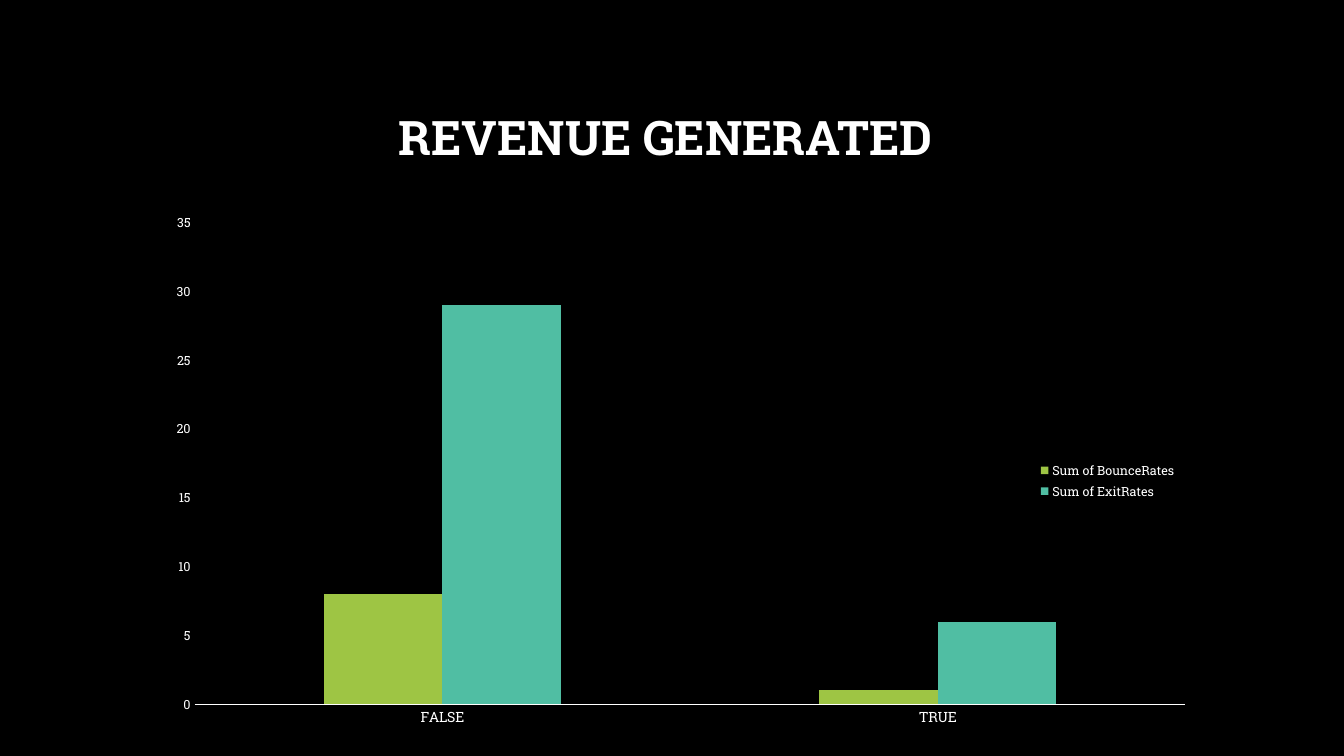
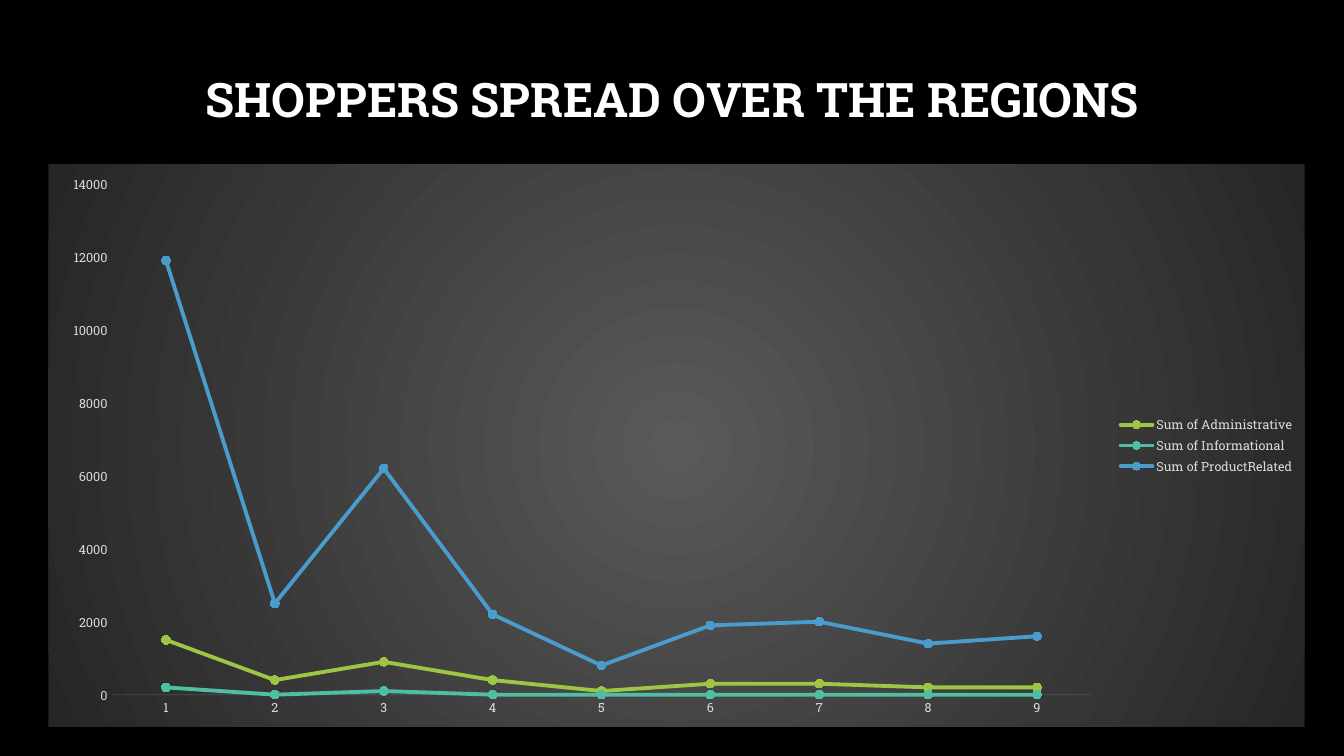
from lxml.etree import SubElement
from pptx import Presentation
from pptx.chart.data import CategoryChartData
from pptx.dml.color import RGBColor
from pptx.enum.chart import XL_CHART_TYPE, XL_LEGEND_POSITION, XL_MARKER_STYLE, XL_TICK_MARK
from pptx.enum.text import MSO_ANCHOR, PP_ALIGN
from pptx.oxml import parse_xml
from pptx.oxml.ns import nsdecls, qn
from pptx.util import Inches, Pt

FONT = "Roboto Slab"
BLACK, WHITE, PALE, MIST = "000000", "FFFFFF", "D9D9D9", "F2F2F2"
GREEN, TEAL, BLUE = "9EC544", "50BEA3", "4A9CCC"
TITLE_SIZE = (11.32, 1.45)

# Content: series are (name, values, colour, marker colour)
REVENUE = {
    "title": "REVENUE GENERATED ",
    "title_at": (1, 0.66),
    "kind": XL_CHART_TYPE.COLUMN_CLUSTERED,
    "chart_at": (0, 2.12, 11.77, 5.29),
    "categories": ["FALSE", "TRUE"],
    "series": [
        ("Sum of BounceRates", [8, 1], GREEN, None),
        ("Sum of ExitRates", [29, 6], TEAL, None),
    ],
    "top_value": 35, "step": 5,
    "text_color": WHITE, "category_size": 10.1, "axis_color": WHITE,
}
REGIONS = {
    "title": "SHOPPERS SPREAD OVER THE REGIONS",
    "title_at": (1.01, 0.29),
    "kind": XL_CHART_TYPE.LINE_MARKERS,
    "chart_at": (0.48, 1.63, 12.46, 5.58),
    "categories": [str(region) for region in range(1, 10)],
    "series": [
        ("Sum of Administrative", [1500, 400, 900, 400, 100, 300, 300, 200, 200], GREEN, "9ECF2E"),
        ("Sum of Informational", [200, 0, 100, 0, 0, 0, 0, 0, 0], TEAL, "3EC4A3"),
        ("Sum of ProductRelated", [11900, 2500, 6200, 2200, 800, 1900, 2000, 1400, 1600], BLUE, "3799D2"),
    ],
    "top_value": 14000, "step": 2000,
    "text_color": PALE, "category_size": 9, "axis_color": MIST,
}


def rgb(color):
    return RGBColor.from_string(color)


def paint(fill, color):
    fill.solid()
    fill.fore_color.rgb = rgb(color)


def style_font(font, size, color, bold=False):
    font.name, font.size, font.bold = FONT, Pt(size), bold
    font.color.rgb = rgb(color)


def add_title(page, text, position):
    box = page.shapes.add_textbox(*map(Inches, position + TITLE_SIZE))
    frame = box.text_frame
    frame.word_wrap = True
    frame.vertical_anchor = MSO_ANCHOR.MIDDLE
    para = frame.paragraphs[0]
    para.text = text
    para.alignment = PP_ALIGN.CENTER
    para.line_spacing = 0.9
    style_font(para.font, 34, WHITE, bold=True)


def style_axes(chart, content):
    category, value = chart.category_axis, chart.value_axis
    for axis, size in ((category, content["category_size"]), (value, 9)):
        axis.has_major_gridlines = False
        axis.major_tick_mark = axis.minor_tick_mark = XL_TICK_MARK.NONE
        style_font(axis.tick_labels.font, size, content["text_color"])
    category.format.line.width = Pt(0.75)
    paint(category.format.line.fill, content["axis_color"])
    value.format.line.fill.background()
    value.minimum_scale, value.maximum_scale = 0, content["top_value"]
    value.major_unit = content["step"]


def add_chart(page, content):
    data = CategoryChartData()
    data.categories = content["categories"]
    for name, values, *_ in content["series"]:
        data.add_series(name, values)
    frame = page.shapes.add_chart(content["kind"], *map(Inches, content["chart_at"]), data)
    chart = frame.chart
    chart.has_title = False
    style_font(chart.font, 10, content["text_color"])
    style_axes(chart, content)
    chart.has_legend = True
    chart.legend.position = XL_LEGEND_POSITION.RIGHT
    chart.legend.include_in_layout = False
    style_font(chart.legend.font, 9, content["text_color"])
    chart.plots[0].vary_by_categories = False

    # Series colours
    for series, (_, _, color, marker_color) in zip(chart.plots[0].series, content["series"]):
        if marker_color is None:
            paint(series.format.fill, color)
            series.invert_if_negative = False
            continue
        series.smooth = False
        line = series.format.line
        line.width = Pt(2.75)
        paint(line.fill, color)
        line.fill._xPr.set("cap", "rnd")
        series.marker.style, series.marker.size = XL_MARKER_STYLE.CIRCLE, 6
        paint(series.marker.format.fill, marker_color)
        series.marker.format.line.fill.background()
    return chart


def place_plot(chart, *percents):
    """Fix the inner plot area: left, top, width, height in percent of the chart."""
    area = chart.plots[0]._element.getparent()
    for old in area.findall(qn("c:layout")):
        area.remove(old)
    sizes = "".join(f'<c:{key} val="{percent / 100:.3f}"/>' for key, percent in zip("xywh", percents))
    area.insert(0, parse_xml(
        f'<c:layout {nsdecls("c")}><c:manualLayout><c:layoutTarget val="inner"/>'
        f'<c:xMode val="edge"/><c:yMode val="edge"/>{sizes}</c:manualLayout></c:layout>'))


def fill_radial(chart, inner, outer):
    """Give the chart a circular gradient from its centre."""
    stops = "".join(f'<a:gs pos="{pos}"><a:srgbClr val="{color}"/></a:gs>'
                    for pos, color in ((0, inner), (100000, outer)))
    chart._chartSpace.find(qn("c:chart")).addnext(parse_xml(
        f'<c:spPr {nsdecls("c", "a")}><a:gradFill><a:gsLst>{stops}</a:gsLst>'
        '<a:path path="circle"><a:fillToRect l="50000" t="50000" r="50000" b="50000"/></a:path>'
        '</a:gradFill><a:ln><a:noFill/></a:ln></c:spPr>'))


def fade_category_line(chart, percent):
    line = chart.category_axis.format.line.fill._xPr
    SubElement(line.find(".//" + qn("a:srgbClr")), qn("a:alpha"), val=str(percent * 1000))


def main():
    deck = Presentation()
    deck.slide_width, deck.slide_height = Inches(13.33), Inches(7.5)
    paint(deck.slide_master.background.fill, BLACK)
    charts = []
    for content in (REVENUE, REGIONS):
        page = deck.slides.add_slide(deck.slide_layouts[6])
        add_title(page, content["title"], content["title_at"])
        charts.append(add_chart(page, content))

    # Details of each chart
    revenue, regions = charts
    revenue.plots[0].gap_width = 219
    revenue.plots[0].overlap = 0
    revenue.legend.include_in_layout = True
    place_plot(revenue, 16.4, 1.4, 83.5, 90.6)
    fill_radial(regions, "595959", "262626")
    fade_category_line(regions, 10)
    deck.save("out.pptx")


if __name__ == "__main__":
    main()
